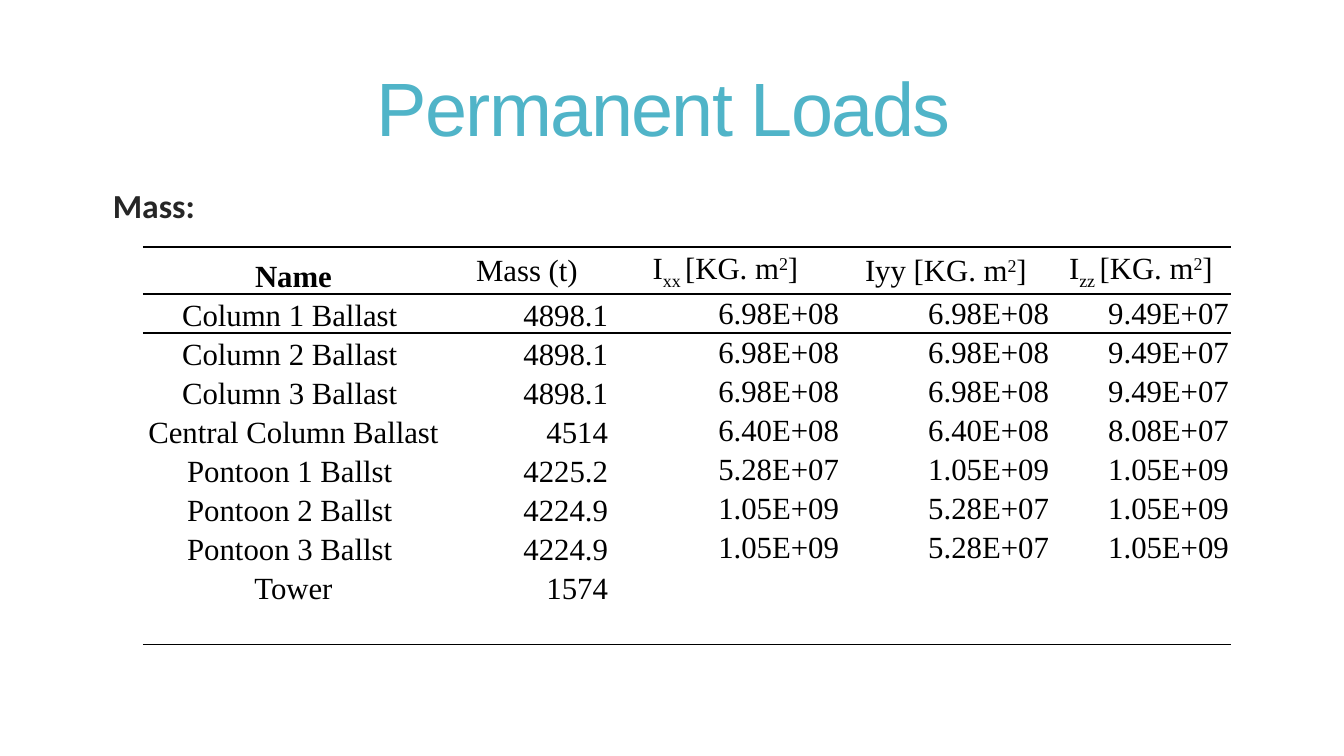
import pptx
import pptx.util
import pptx.dml.color
import pptx.enum.text
import pptx.oxml.ns
import lxml.etree

PX = 914400 / 100.8  # EMU in one px
COLORS = {"title": "50B4C8", "body": "262626", "table": "000000"}
ALIGN = pptx.enum.text.PP_ALIGN
ANCHOR = pptx.enum.text.MSO_ANCHOR
NO_STYLE = "{2D5ABB26-0587-4C30-8999-92F81FD0307C}"

SUB, SUP = -25000, 30000
UNIT = [("[KG. m", 0), ("2", SUP), ("]", 0)]
HEADERS = [
    [("Name", 0)],
    [("Mass (t)", 0)],
    [("I", 0), ("xx ", SUB)] + UNIT,
    [("Iyy ", 0)] + UNIT,
    [("I", 0), ("zz ", SUB)] + UNIT,
]
ROWS = [
    ["Column 1 Ballast ", "4898.1", "6.98E+08", "6.98E+08", "9.49E+07"],
    ["Column 2 Ballast ", "4898.1", "6.98E+08", "6.98E+08", "9.49E+07"],
    ["Column 3 Ballast ", "4898.1", "6.98E+08", "6.98E+08", "9.49E+07"],
    ["Central Column Ballast ", "4514", "6.40E+08", "6.40E+08", "8.08E+07"],
    ["Pontoon 1 Ballst ", "4225.2", "5.28E+07", "1.05E+09", "1.05E+09"],
    ["Pontoon 2 Ballst ", "4224.9", "1.05E+09", "5.28E+07", "1.05E+09"],
    ["Pontoon 3 Ballst ", "4224.9", "1.05E+09", "5.28E+07", "1.05E+09"],
    ["Tower", "1574", "", "", ""],
    ["", "", "", "", ""],
]
COL_WIDTHS = [301, 166, 231, 210, 180]
HEADER_HEIGHT = 47


def px(n):
    return pptx.util.Emu(round(n * PX))


def add_text(p, text, size=22, font="Times New Roman", color="table",
             bold=False, baseline=0, spacing=0):
    r = p.add_run()
    r.text = text
    r.font.size = pptx.util.Pt(size)
    r.font.name = font
    r.font.bold = bold
    r.font.color.rgb = pptx.dml.color.RGBColor.from_string(COLORS[color])
    rPr = r._r.get_or_add_rPr()
    if baseline:
        rPr.set("baseline", str(baseline))
    if spacing:
        rPr.set("spc", str(spacing))


def add_line_box(s, box, text, align, anchor, **fmt):
    tf = s.shapes.add_textbox(*map(px, box)).text_frame
    tf.word_wrap = True
    tf.vertical_anchor = anchor
    p = tf.paragraphs[0]
    p.alignment = align
    p.line_spacing = 0.85
    add_text(p, text, **fmt)


def add_border(cell, side):
    tcPr = cell._tc.get_or_add_tcPr()
    qn = pptx.oxml.ns.qn
    ln = lxml.etree.SubElement(tcPr, qn("a:ln" + side), w="12700")
    fill = lxml.etree.SubElement(ln, qn("a:solidFill"))
    lxml.etree.SubElement(fill, qn("a:srgbClr"), val=COLORS["table"])


def format_cell(cell, align, anchor, sides):
    cell.margin_left = cell.margin_right = cell.margin_top = px(2)
    cell.margin_bottom = 0
    cell.vertical_anchor = anchor
    for side in sides:
        add_border(cell, side)
    cell.fill.background()
    p = cell.text_frame.paragraphs[0]
    p.alignment = align
    p.font.size = pptx.util.Pt(22)
    return p


def add_mass_table(s, box):
    frame = s.shapes.add_table(len(ROWS) + 1, len(HEADERS), *map(px, box))
    table = frame.table
    table.first_row = table.horz_banding = False
    table._tbl.tblPr.find(pptx.oxml.ns.qn("a:tableStyleId")).text = NO_STYLE

    for column, width in zip(table.columns, COL_WIDTHS):
        column.width = px(width)
    for i, row in enumerate(table.rows):
        row.height = px((box[3] - HEADER_HEIGHT) / len(ROWS) if i else HEADER_HEIGHT)

    # Header row
    for j, parts in enumerate(HEADERS):
        anchor = ANCHOR.MIDDLE if j else ANCHOR.BOTTOM
        p = format_cell(table.cell(0, j), ALIGN.CENTER, anchor, "TB")
        for text, baseline in parts:
            add_text(p, text, bold=j == 0, baseline=baseline)

    # Body rows
    for i, values in enumerate(ROWS, 1):
        sides = {1: "T", len(ROWS): "B"}.get(i, "")
        for j, value in enumerate(values):
            align = ALIGN.RIGHT if j else ALIGN.CENTER
            anchor = ANCHOR.BOTTOM if j < 2 else ANCHOR.MIDDLE
            p = format_cell(table.cell(i, j), align, anchor, sides)
            if value:
                add_text(p, value)


def main():
    prs = pptx.Presentation()
    prs.slide_width, prs.slide_height = px(1344), px(756)
    s = prs.slides.add_slide(prs.slide_layouts[6])

    # Title and subheading
    add_line_box(s, (75, 40, 1177, 146), "Permanent Loads", ALIGN.CENTER,
                 ANCHOR.MIDDLE, size=54, font="Arial", color="title", spacing=-120)
    add_line_box(s, (103, 186, 1175, 50), "Mass:", ALIGN.LEFT,
                 ANCHOR.TOP, size=24, font="Calibri", color="body", bold=True)

    # Mass and inertia table
    add_mass_table(s, (143, 247, sum(COL_WIDTHS), 394))

    prs.save("out.pptx")


if __name__ == "__main__":
    main()
